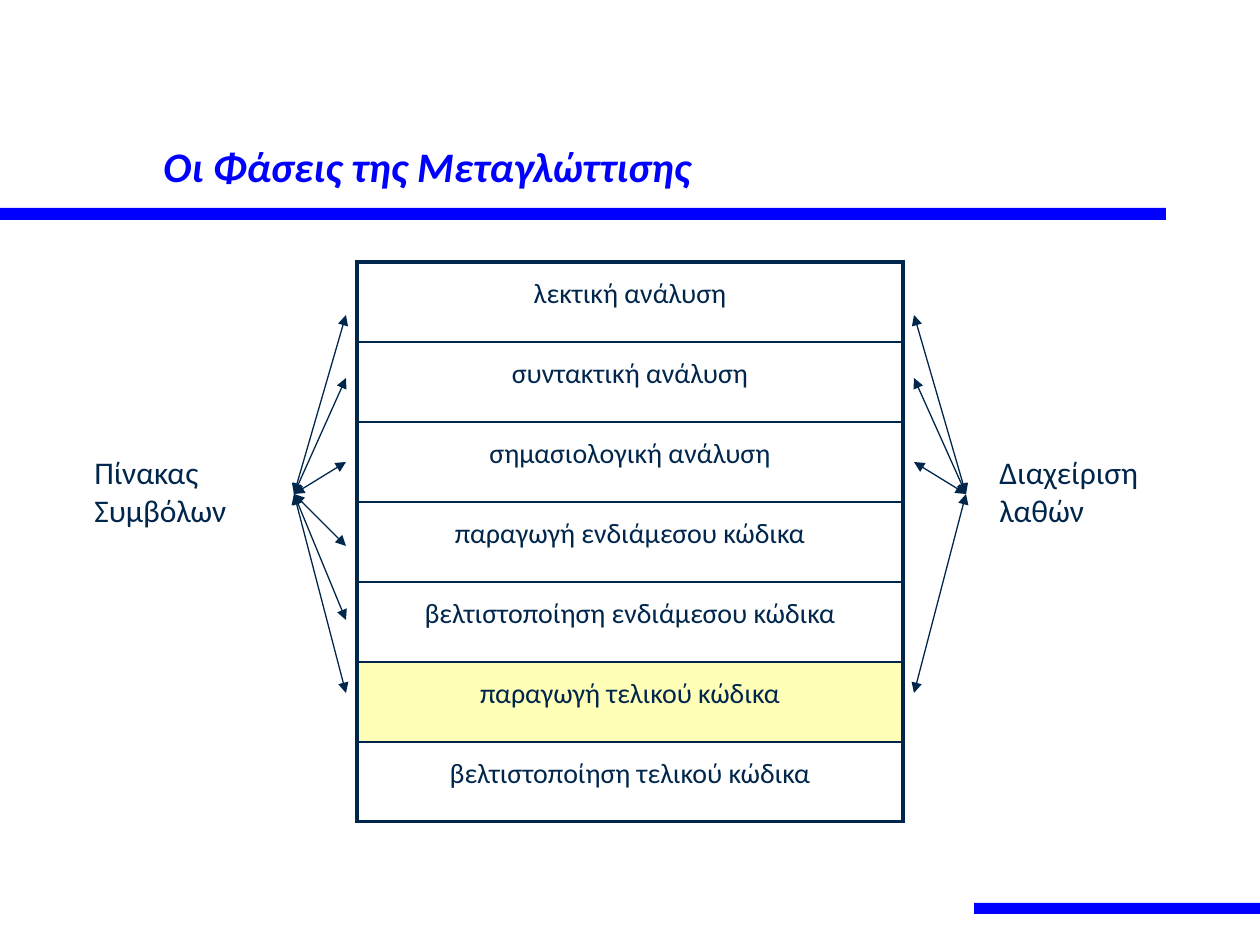
from lxml.etree import SubElement
from pptx import Presentation
from pptx.dml.color import RGBColor
from pptx.enum.shapes import MSO_CONNECTOR, MSO_SHAPE
from pptx.enum.text import MSO_ANCHOR, PP_ALIGN
from pptx.oxml.ns import qn
from pptx.util import Emu, Pt

BLUE = RGBColor(0x00, 0x00, 0xFF)
NAVY = RGBColor(0x00, 0x26, 0x4C)
YELLOW = RGBColor(0xFF, 0xFF, 0xB8)
FONT = "Calibri"
THICK, THIN = 2.25, 1


def px(pixels):
    return Emu(round(pixels * 914400 / 126))


def write(frame, text, size=18, color=NAVY, bold=False, italic=False,
          align=PP_ALIGN.LEFT):
    frame.text = text
    for paragraph in frame.paragraphs:
        paragraph.alignment = align
        font = paragraph.runs[0].font
        font.name, font.size = FONT, Pt(size)
        font.bold, font.italic = bold, italic
        font.color.rgb = color


class PhaseSlide:
    def __init__(self, deck):
        self.shapes = deck.slides.add_slide(deck.slide_layouts[6]).shapes

    def bar(self, left, top, width, height):
        bar = self.shapes.add_shape(
            MSO_SHAPE.RECTANGLE, px(left), px(top), px(width), px(height))
        bar.shadow.inherit = False
        bar.fill.solid()
        bar.fill.fore_color.rgb = BLUE
        bar.line.fill.background()

    def text(self, left, top, width, height, text, wrap=False,
             anchor=MSO_ANCHOR.TOP, **style):
        frame = self.shapes.add_textbox(
            px(left), px(top), px(width), px(height)).text_frame
        frame.word_wrap = wrap
        frame.vertical_anchor = anchor
        write(frame, text, **style)

    def border(self, cell, **widths):
        properties = cell._tc.get_or_add_tcPr()
        for side, points in widths.items():
            edge = SubElement(properties, qn(f"a:ln{side}"), w=str(Pt(points)))
            fill = SubElement(edge, qn("a:solidFill"))
            SubElement(fill, qn("a:srgbClr"), val=str(NAVY))

    def phases(self, left, top, width, row_height, names, highlighted):
        table = self.shapes.add_table(
            len(names), 1, px(left), px(top), px(width),
            px(row_height * len(names))).table
        table.first_row = table.horz_banding = False
        last = len(names) - 1
        for index, name in enumerate(names):
            table.rows[index].height = px(row_height)
            cell = table.cell(index, 0)
            cell.margin_top = px(15)
            write(cell.text_frame, name, size=16, align=PP_ALIGN.CENTER)
            self.border(cell, L=THICK, R=THICK,
                        T=THICK if index == 0 else THIN,
                        B=THICK if index == last else THIN)
            if name == highlighted:
                cell.fill.solid()
                cell.fill.fore_color.rgb = YELLOW
            else:
                cell.fill.background()

    def arrow(self, x1, y1, x2, y2):
        arrow = self.shapes.add_connector(
            MSO_CONNECTOR.STRAIGHT, px(x1), px(y1), px(x2), px(y2))
        arrow.line.color.rgb = NAVY
        arrow.line.width = Pt(0.75)
        line = arrow.line._get_or_add_ln()
        for end in ("headEnd", "tailEnd"):
            SubElement(line, qn(f"a:{end}"), type="triangle")
        SubElement(arrow._element.spPr, qn("a:effectLst"))


deck = Presentation()
deck.slide_width, deck.slide_height = px(1260), px(945)
slide = PhaseSlide(deck)

slide.bar(0, 208, 1166, 12)
slide.bar(974, 903, 286, 11)
slide.text(151, 39, 1071, 158, "Οι Φάσεις της Μεταγλώττισης", wrap=True,
           anchor=MSO_ANCHOR.BOTTOM, size=24, color=BLUE, bold=True, italic=True)

code_generation = "παραγωγή τελικού κώδικα"
slide.phases(357, 262, 546, 80, [
    "λεκτική ανάλυση",
    "συντακτική ανάλυση",
    "σημασιολογική ανάλυση",
    "παραγωγή ενδιάμεσου κώδικα",
    "βελτιστοποίηση ενδιάμεσου κώδικα",
    code_generation,
    "βελτιστοποίηση τελικού κώδικα",
], code_generation)

slide.text(82, 447, 159, 89, "Πίνακας\nΣυμβόλων")
slide.text(987, 447, 165, 89, "Διαχείριση\nλαθών")

symbol_table_links = (315, 378, 462, 546, 620, 693)
error_links = (315, 378, 462, 693)
for hub_x, phase_x, links in ((294, 346, symbol_table_links),
                              (966, 914, error_links)):
    for phase_y in links:
        slide.arrow(hub_x, 494, phase_x, phase_y)

deck.save("out.pptx")
